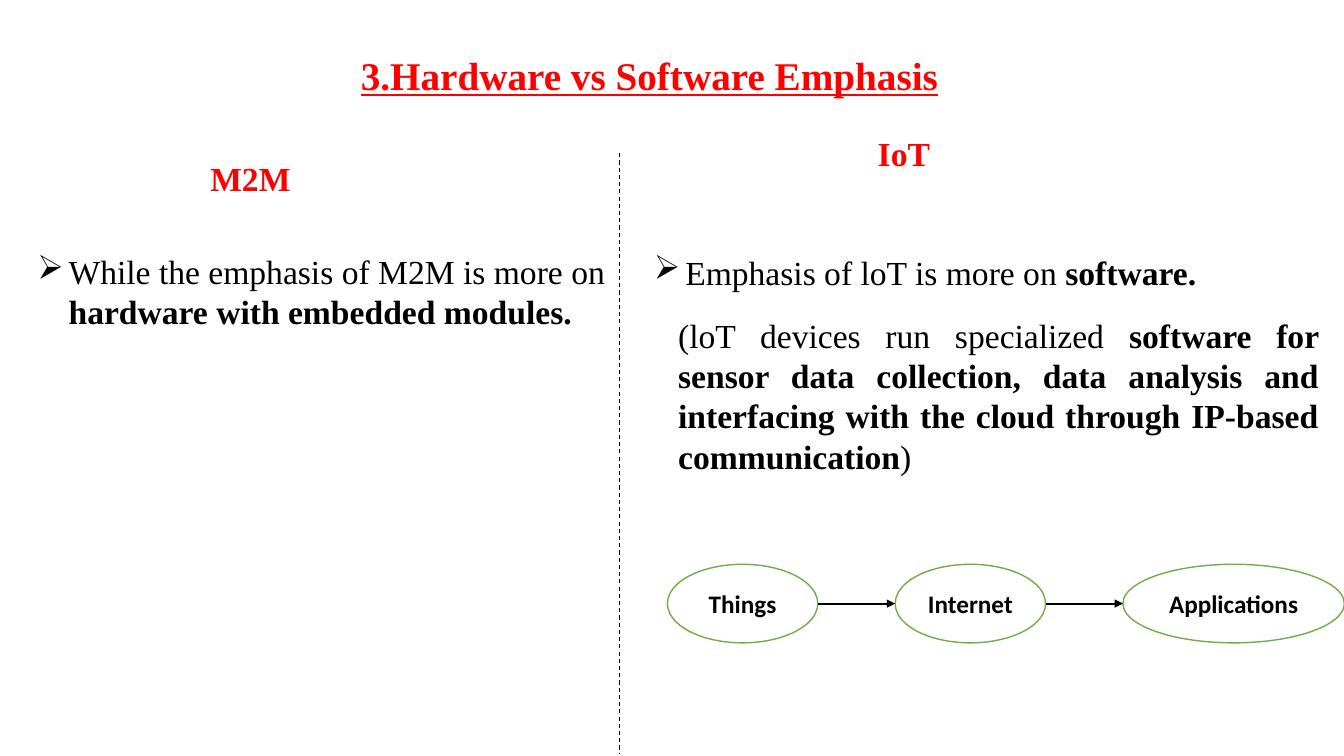
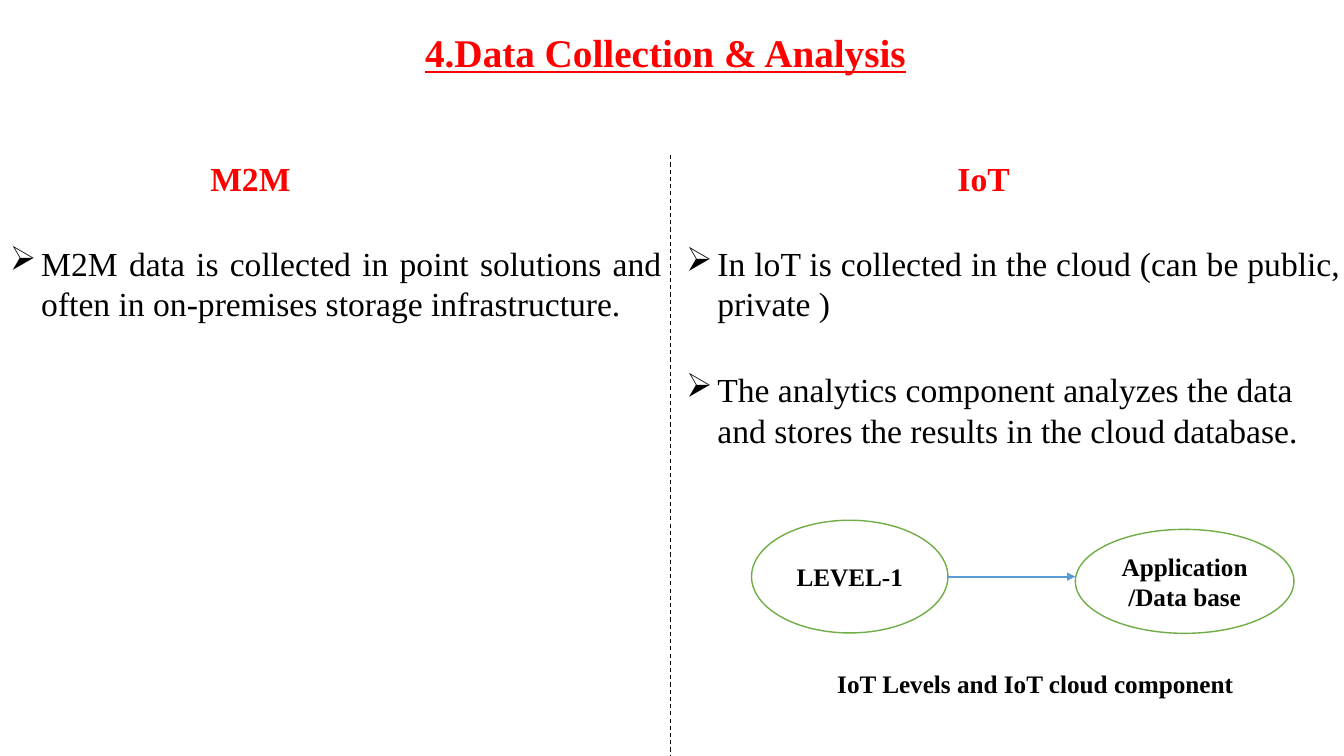
from dataclasses import dataclass
from itertools import pairwise

from lxml.etree import SubElement
from pptx import Presentation
from pptx.dml.color import RGBColor
from pptx.enum.dml import MSO_LINE
from pptx.enum.shapes import MSO_CONNECTOR, MSO_SHAPE
from pptx.enum.text import MSO_ANCHOR, MSO_AUTO_SIZE, PP_ALIGN
from pptx.oxml.ns import qn
from pptx.shapes.autoshape import Shape
from pptx.slide import Slide
from pptx.util import Cm, Pt


@dataclass(frozen=True)
class Theme:
    red: RGBColor = RGBColor(0xFF, 0x00, 0x00)
    black: RGBColor = RGBColor(0x00, 0x00, 0x00)
    white: RGBColor = RGBColor(0xFF, 0xFF, 0xFF)
    green: RGBColor = RGBColor(0x70, 0xAD, 0x47)
    blue: RGBColor = RGBColor(0x5B, 0x9B, 0xD5)
    serif: str = "Times New Roman"
    sans: str = "Calibri"
    title: Pt = Pt(28)
    body: Pt = Pt(24)
    label: Pt = Pt(18)


THEME = Theme()
TITLE = dict(name=THEME.serif, size=THEME.title, bold=True, underline=True)
HEADING = dict(name=THEME.serif, size=THEME.body, bold=True)
BODY = dict(name=THEME.serif, size=THEME.body)
LABEL = dict(name=THEME.serif, size=THEME.label, bold=True)
INDENT = Cm(0.79)


# Lengths in the records below are centimetres
@dataclass(frozen=True)
class Box:
    x: float
    y: float
    w: float
    h: float


@dataclass(frozen=True)
class Passage:
    box: Box
    runs: tuple[tuple[str, bool], ...]  # text, bold
    bullet: bool = True
    justify: bool = False


@dataclass(frozen=True)
class Node:
    text: str
    box: Box


@dataclass(frozen=True)
class Comparison:
    title: str
    title_box: Box
    iot_box: Box
    divider: tuple[float, float, float]  # x, top, bottom
    passages: tuple[Passage, ...]
    nodes: tuple[Node, ...]
    node_font: str
    arrow_color: RGBColor
    caption: Passage | None = None


M2M_BOX = Box(5.05, 3.86, 2.54, 1.27)
FLOW_PITCH = 5.74

COMPARISONS = (
    Comparison(
        title="3.Hardware vs Software Emphasis",
        title_box=Box(8.84, 0.58, 16.92, 1.83),
        iot_box=Box(21.87, 3.23, 1.85, 1.27),
        divider=(15.62, 3.86, 19),
        passages=(
            Passage(Box(0.69, 6.2, 15.6, 2.31),
                    (("While the emphasis of M2M is more on ", False),
                     ("hardware with embedded modules.", True))),
            Passage(Box(16.23, 6.22, 16.92, 1.27),
                    (("Emphasis of loT is more on ", False), ("software.", True))),
            Passage(Box(16.84, 7.8, 16.64, 4.37),
                    (("(loT devices run specialized ", False),
                     ("software for sensor data collection, data analysis and "
                      "interfacing with the cloud through IP-based communication", True),
                     (")", False)),
                    bullet=False, justify=True),
        ),
        nodes=tuple(
            Node(text, Box(16.82 + i * FLOW_PITCH, 14.22, w, 1.98))
            for i, (text, w) in enumerate(
                (("Things", 3.79), ("Internet", 3.79), ("Applications", 5.58)))
        ),
        node_font=THEME.sans,
        arrow_color=THEME.black,
    ),
    Comparison(
        title="4.Data Collection & Analysis",
        title_box=Box(10.46, 0, 16.92, 1.83),
        iot_box=Box(23.88, 3.86, 1.85, 1.27),
        divider=(16.89, 3.91, 19.05),
        passages=(
            Passage(Box(0, 5.99, 16.92, 2.31),
                    (("M2M data is collected in point solutions and often in "
                      "on-premises storage infrastructure.", False),), justify=True),
            Passage(Box(17.04, 6, 16.99, 2.31),
                    (("In loT is collected in the cloud (can be public, private )",
                      False),), justify=True),
            Passage(Box(17.04, 9.18, 16.36, 2.31),
                    (("The analytics component analyzes the data and stores the "
                      "results in the cloud database.", False),)),
        ),
        nodes=(Node("LEVEL-1", Box(18.94, 13.11, 4.95, 2.84)),
               Node("Application /Data base", Box(27.1, 13.34, 5.51, 2.62))),
        node_font=THEME.serif,
        arrow_color=THEME.blue,
        caption=Passage(Box(20.85, 16.71, 10.59, 1.02),
                        (("IoT Levels and IoT cloud component", True),), bullet=False),
    ),
)


def place(box: Box) -> tuple[Cm, Cm, Cm, Cm]:
    return Cm(box.x), Cm(box.y), Cm(box.w), Cm(box.h)


def style(font, values: dict, color: RGBColor) -> None:
    for name, value in values.items():
        setattr(font, name, value)
    font.color.rgb = color


def add_bullet(p) -> None:
    pPr = p._p.get_or_add_pPr()
    pPr.set("marL", str(INDENT))
    pPr.set("indent", str(-INDENT))
    SubElement(pPr, qn("a:buChar")).set("char", "➢")


def add_title(s: Slide, text: str, box: Box) -> None:
    sp = s.shapes.title
    sp.left, sp.top, sp.width, sp.height = place(box)
    tf = sp.text_frame
    tf.auto_size = MSO_AUTO_SIZE.NONE
    tf.vertical_anchor = MSO_ANCHOR.TOP
    p = tf.paragraphs[0]
    p.alignment = PP_ALIGN.LEFT
    p.line_spacing = 1.5
    r = p.add_run()
    r.text = text
    style(r.font, TITLE, THEME.red)


def add_passage(s: Slide, passage: Passage, values: dict, color: RGBColor,
                wrap: bool = True) -> None:
    tf = s.shapes.add_textbox(*place(passage.box)).text_frame
    tf.word_wrap = wrap
    p = tf.paragraphs[0]
    if passage.justify:
        p.alignment = PP_ALIGN.JUSTIFY
    if passage.bullet:
        add_bullet(p)
    for text, bold in passage.runs:
        r = p.add_run()
        r.text = text
        style(r.font, values | {"bold": bold}, color)


def add_heading(s: Slide, text: str, box: Box) -> None:
    add_passage(s, Passage(box, ((text, True),), bullet=False),
                HEADING, THEME.red, wrap=False)


def add_line(s: Slide, start: tuple[int, int], end: tuple[int, int],
             color: RGBColor, width: Pt):
    line = s.shapes.add_connector(MSO_CONNECTOR.STRAIGHT, *start, *end)
    line.line.color.rgb = color
    line.line.width = width
    SubElement(line._element.spPr, qn("a:effectLst"))
    return line.line


def add_node(s: Slide, node: Node, font_name: str) -> Shape:
    sp = s.shapes.add_shape(MSO_SHAPE.OVAL, *place(node.box))
    sp.shadow.inherit = False
    sp.fill.solid()
    sp.fill.fore_color.rgb = THEME.white
    sp.line.color.rgb = THEME.green
    sp.line.width = Pt(1)
    tf = sp.text_frame
    tf.word_wrap = True
    tf.vertical_anchor = MSO_ANCHOR.MIDDLE
    p = tf.paragraphs[0]
    p.alignment = PP_ALIGN.CENTER
    r = p.add_run()
    r.text = node.text
    style(r.font, LABEL | {"name": font_name}, THEME.black)
    return sp


def add_arrow(s: Slide, source: Shape, target: Shape, color: RGBColor) -> None:
    y = source.top + source.height // 2
    line = add_line(s, (source.left + source.width, y), (target.left, y),
                    color, Pt(1.5))
    SubElement(line._get_or_add_ln(), qn("a:tailEnd")).set("type", "triangle")


def add_comparison(prs, spec_: Comparison) -> None:
    s = prs.slides.add_slide(prs.slide_layouts[5])
    # Title, column headings and divider
    add_title(s, spec_.title, spec_.title_box)
    add_heading(s, "M2M", M2M_BOX)
    add_heading(s, "IoT", spec_.iot_box)
    x, top, bottom = map(Cm, spec_.divider)
    divider = add_line(s, (x, top), (x, bottom), THEME.black, Pt(0.75))
    divider.dash_style = MSO_LINE.DASH
    # Column text
    for passage in spec_.passages:
        add_passage(s, passage, BODY, THEME.black)
    # Flow diagram
    ovals = [add_node(s, node, spec_.node_font) for node in spec_.nodes]
    for source, target in pairwise(ovals):
        add_arrow(s, source, target, spec_.arrow_color)
    if spec_.caption:
        add_passage(s, spec_.caption, LABEL, THEME.black, wrap=False)


def main() -> None:
    prs = Presentation()
    prs.slide_width, prs.slide_height = Cm(33.87), Cm(19.05)
    for comparison in COMPARISONS:
        add_comparison(prs, comparison)
    prs.save("out.pptx")


if __name__ == "__main__":
    main()
